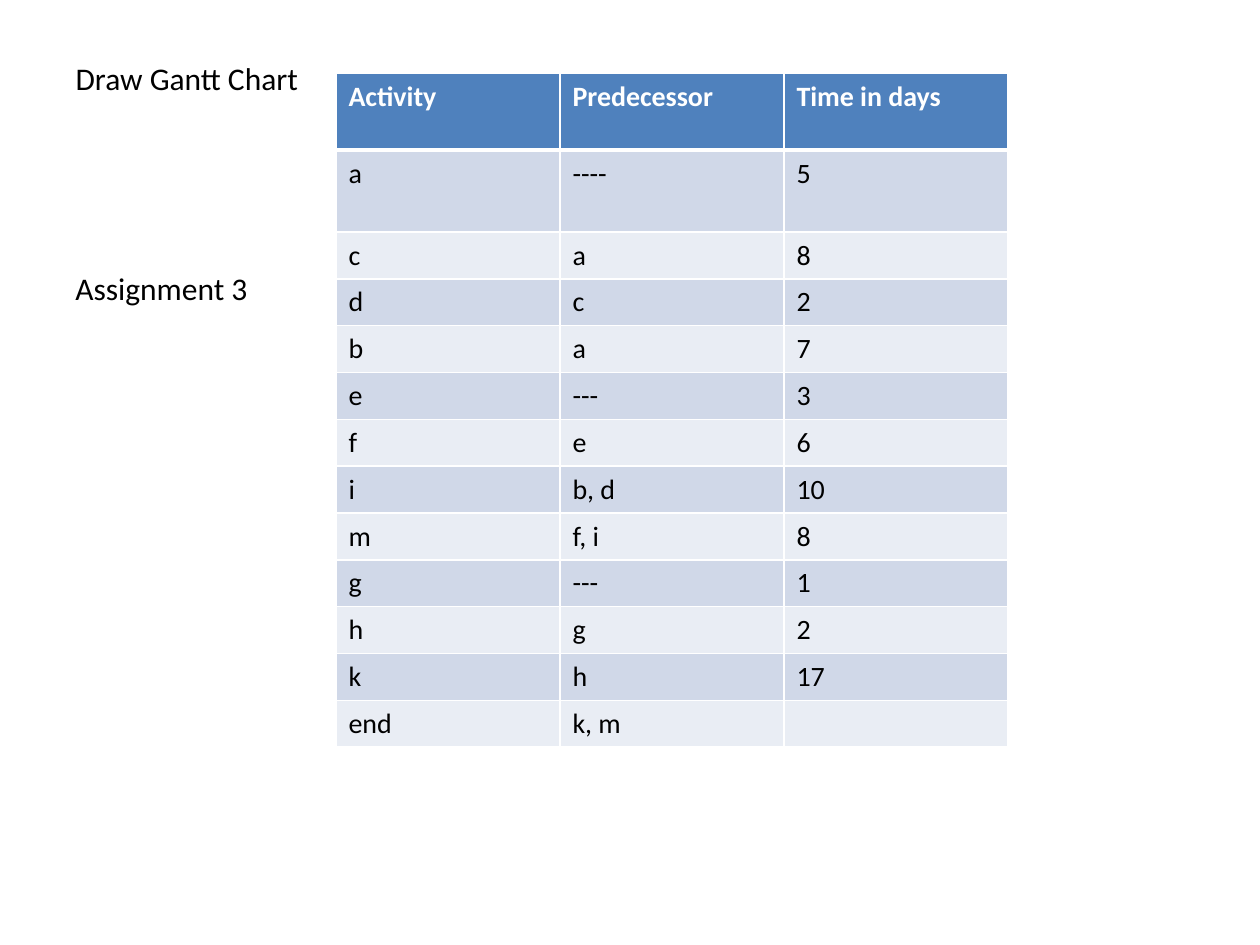
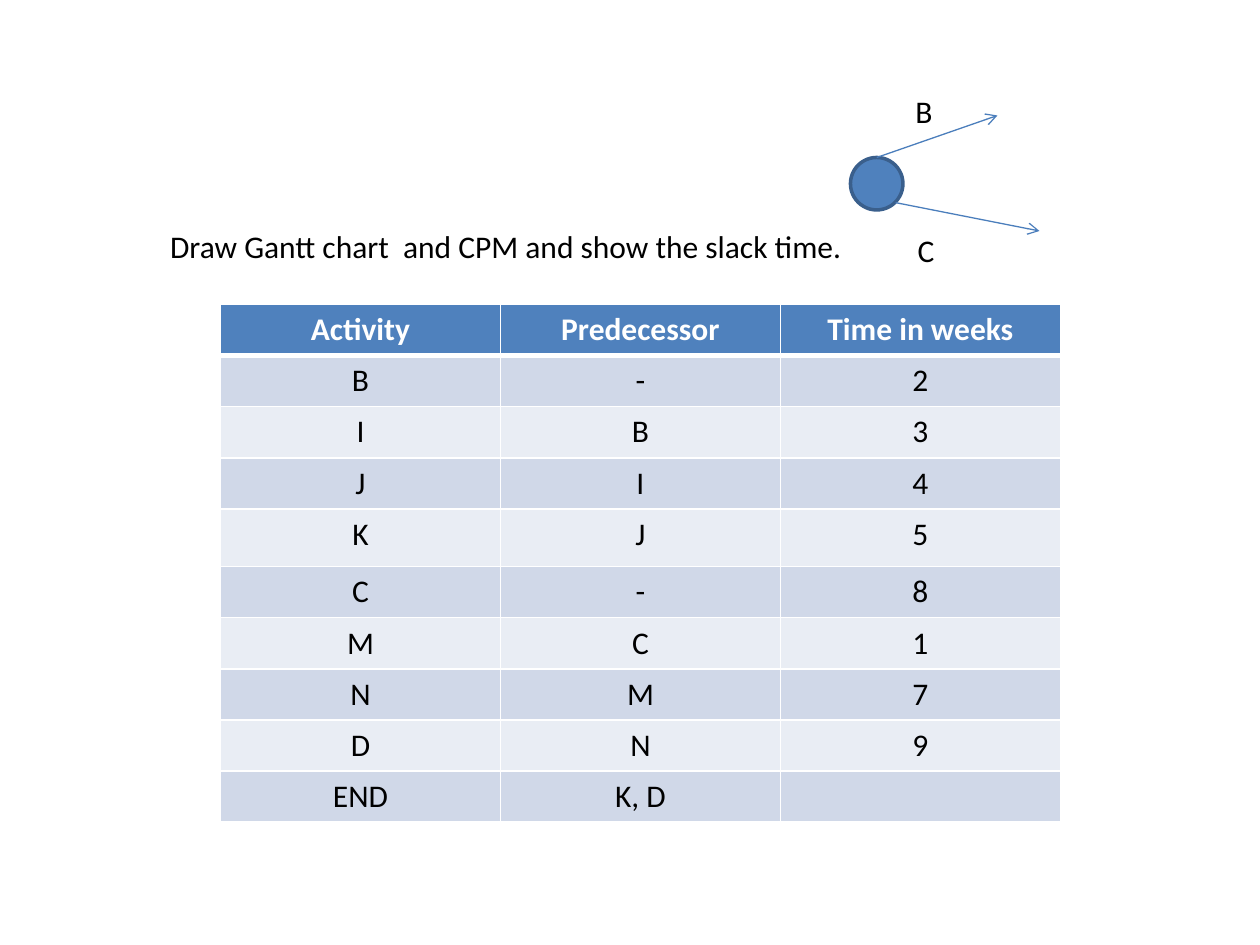
from lxml.etree import SubElement
from pptx import Presentation
from pptx.dml.color import RGBColor
from pptx.enum.shapes import MSO_CONNECTOR, MSO_SHAPE
from pptx.enum.text import MSO_ANCHOR, MSO_AUTO_SIZE, PP_ALIGN
from pptx.oxml.ns import qn
from pptx.util import Inches, Pt

COLORS = {
    "header": "4F81BD",
    "odd": "D0D8E8",
    "even": "E9EDF4",
    "white": "FFFFFF",
    "black": "000000",
    "outline": "3A5F8C",
    "arrow": "4B7EBC",
}
FONT = "Calibri"
BODY_SIZE = 18
GRID_COLUMNS, GRID_ROWS = 120, 90
UNIT = Inches(10) / GRID_COLUMNS
LABEL_HEIGHT = 4.8

DAY_PLAN = [
    ("Activity", "Predecessor", "Time in days"),
    ("a", "----", "5"),
    ("c", "a", "8"),
    ("d", "c", "2"),
    ("b", "a", "7"),
    ("e", "---", "3"),
    ("f", "e", "6"),
    ("i", "b, d", "10"),
    ("m", "f, i", "8"),
    ("g", "---", "1"),
    ("h", "g", "2"),
    ("k", "h", "17"),
    ("end", "k, m", ""),
]
WEEK_PLAN = [
    ("Activity", "Predecessor", "Time in weeks"),
    ("B", "-", "2"),
    ("I", "B", "3"),
    ("J", "I", "4"),
    ("K", "J", "5"),
    ("C", "-", "8"),
    ("M", "C", "1"),
    ("N", "M", "7"),
    ("D", "N", "9"),
    ("END", "K, D", ""),
]


def grid(*units):
    """Turn grid units into lengths."""
    return [round(unit * UNIT) for unit in units]


def color(name):
    """Look up a palette colour."""
    return RGBColor.from_string(COLORS[name])


def style_paragraph(para, size=BODY_SIZE, tint="black", bold=False, align=PP_ALIGN.LEFT):
    """Set the font and alignment of a paragraph."""
    para.alignment = align
    para.font.name = FONT
    para.font.size = Pt(size)
    para.font.bold = bold
    para.font.color.rgb = color(tint)


def fill_label(box, text):
    """Write one unwrapped line in a box."""
    frame = box.text_frame
    frame.text = text
    frame.word_wrap = False
    frame.auto_size = MSO_AUTO_SIZE.SHAPE_TO_FIT_TEXT
    frame.vertical_anchor = MSO_ANCHOR.TOP
    style_paragraph(frame.paragraphs[0])


def add_label(page, text, left, top, width):
    """Add a one-line text box."""
    box = page.shapes.add_textbox(*grid(left, top, width, LABEL_HEIGHT))
    fill_label(box, text)


def add_page(deck, title, left, top, width):
    """Add a title-only slide and place its title."""
    page = deck.slides.add_slide(deck.slide_layouts[5])
    box = page.shapes.title
    box.left, box.top, box.width, box.height = grid(left, top, width, LABEL_HEIGHT)
    fill_label(box, title)
    return page


def set_borders(cell, row):
    """Draw white cell borders, thicker under the header row."""
    properties = cell._tc.get_or_add_tcPr()
    thick = {0: "lnB", 1: "lnT"}.get(row)
    for side in ("lnL", "lnR", "lnT", "lnB"):
        width = Pt(3 if side == thick else 1)
        line = SubElement(properties, qn(f"a:{side}"), w=str(width))
        fill = SubElement(line, qn("a:solidFill"))
        SubElement(fill, qn("a:srgbClr"), val=COLORS["white"])


def add_plan(page, plan, left, top, width, heights, size, align):
    """Add an activity table with banded rows."""
    columns = len(plan[0])
    frame = page.shapes.add_table(
        len(plan), columns, *grid(left, top, width, sum(heights))
    )
    table = frame.table
    for column in table.columns:
        column.width = grid(width / columns)[0]
    for row, (texts, height) in enumerate(zip(plan, heights)):
        table.rows[row].height = grid(height)[0]
        band = "header" if row == 0 else ("even", "odd")[row % 2]
        tint = "white" if row == 0 else "black"
        for column, text in enumerate(texts):
            cell = table.cell(row, column)
            set_borders(cell, row)
            cell.fill.solid()
            cell.fill.fore_color.rgb = color(band)
            if text:
                cell.text = text
            style_paragraph(cell.text_frame.paragraphs[0], size, tint, row == 0, align)


def add_arrow(page, start, end):
    """Add a thin line with an open arrowhead."""
    arrow = page.shapes.add_connector(MSO_CONNECTOR.STRAIGHT, *grid(*start, *end))
    arrow.line.color.rgb = color("arrow")
    arrow.line.width = Pt(0.75)
    SubElement(arrow.line._get_or_add_ln(), qn("a:tailEnd"), type="arrow")
    SubElement(arrow._element.spPr, qn("a:effectLst"))
    return arrow


def add_start_node(page, left, top, size):
    """Draw the start node with its two outgoing activities."""
    node = page.shapes.add_shape(MSO_SHAPE.OVAL, *grid(left, top, size, size))
    node.shadow.inherit = False
    node.fill.solid()
    node.fill.fore_color.rgb = color("header")
    node.line.color.rgb = color("outline")
    node.line.width = Pt(2)
    upper = add_arrow(page, (left + size / 2, top), (left + 14, top - 4))
    upper.begin_connect(node, 0)
    corner = size * 0.86
    add_arrow(page, (left + corner, top + corner), (left + 18, top + 7))
    add_label(page, "B", left + 5, top - 6.8, 4)
    add_label(page, "C", left + 5.2, top + 6.4, 4)


def build_day_page(deck):
    """Build the assignment planned in days."""
    page = add_page(deck, "Draw Gantt Chart", 6, 5, 24)
    heights = [7.3, 7.8] + [4.46] * (len(DAY_PLAN) - 2)
    add_plan(page, DAY_PLAN, 32, 7, 64, heights, 16, PP_ALIGN.LEFT)
    add_label(page, "Assignment 3", 6, 25, 19)


def build_week_page(deck):
    """Build the assignment planned in weeks."""
    title = "Draw Gantt chart  and CPM and show the slack time."
    page = add_page(deck, title, 15, 21, 67.2)
    heights = [5.5 if row[0] == "K" else 4.87 for row in WEEK_PLAN]
    add_plan(page, WEEK_PLAN, 21, 29, 80, heights, BODY_SIZE, PP_ALIGN.CENTER)
    add_start_node(page, 81, 15, 5)


def main():
    """Build and save the deck."""
    deck = Presentation()
    deck.slide_width, deck.slide_height = grid(GRID_COLUMNS, GRID_ROWS)
    build_day_page(deck)
    build_week_page(deck)
    deck.save("out.pptx")


if __name__ == "__main__":
    main()
